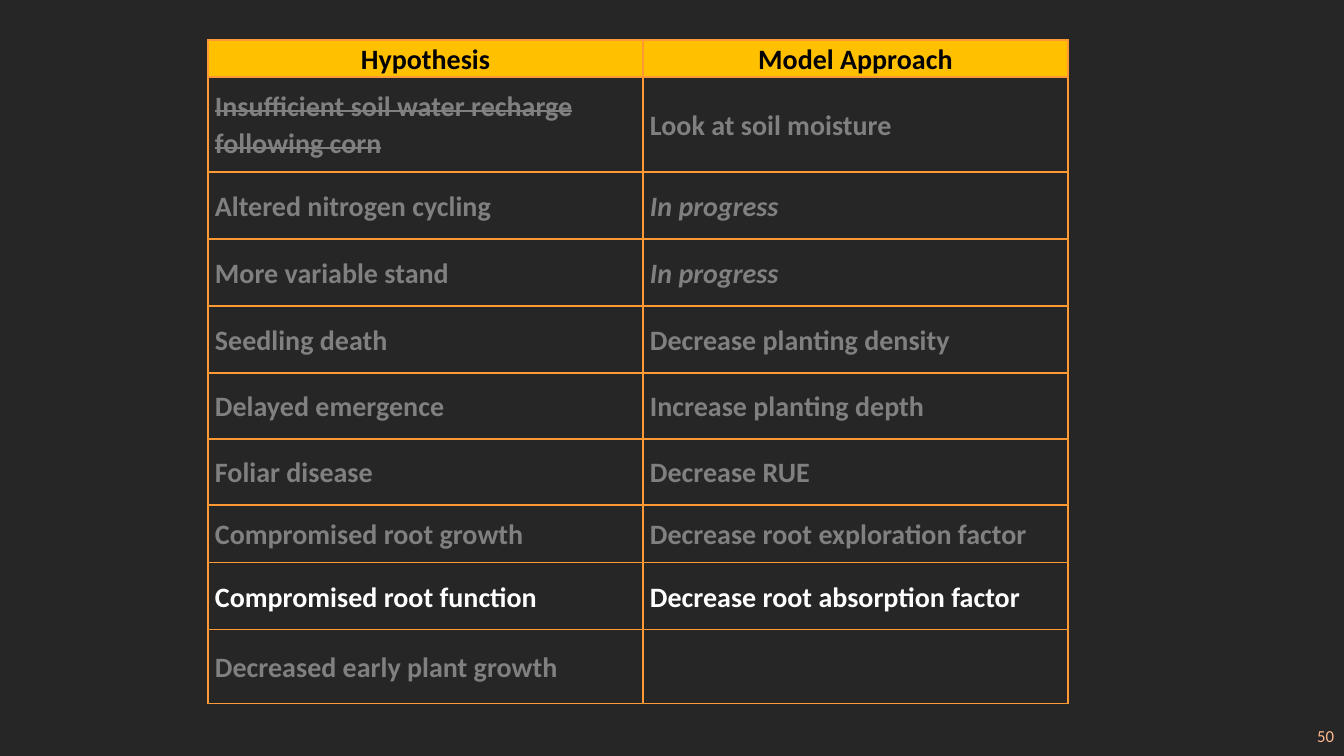
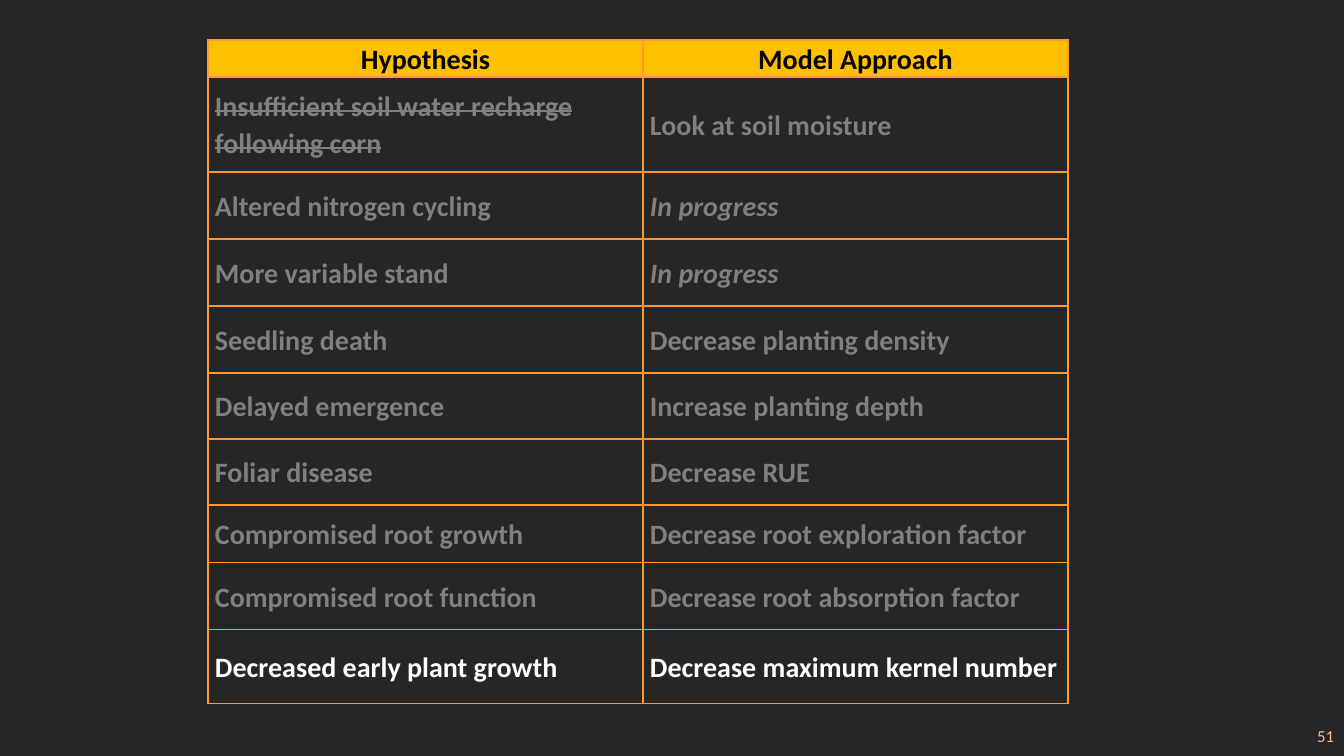
from lxml import etree
from pptx import Presentation
from pptx.dml.color import RGBColor
from pptx.enum.text import MSO_ANCHOR, PP_ALIGN
from pptx.oxml.ns import qn
from pptx.util import Emu, Pt

MIDDLE = MSO_ANCHOR.MIDDLE
LEFT, CENTER, RIGHT = PP_ALIGN.LEFT, PP_ALIGN.CENTER, PP_ALIGN.RIGHT

DARK = RGBColor(0x26, 0x26, 0x26)
GOLD = RGBColor(0xFF, 0xC0, 0x00)
ORANGE = RGBColor(0xFF, 0x99, 0x33)
PEACH = RGBColor(0xFF, 0xBA, 0x90)
GREY = RGBColor(0x80, 0x80, 0x80)
BLACK = RGBColor(0, 0, 0)
WHITE = RGBColor(0xFF, 0xFF, 0xFF)
FONT = "Calibri"

# Content
HEAD = ("Hypothesis", "Model Approach")
IDEAS = [
    ("Insufficient soil water recharge following corn", "Look at soil moisture"),
    ("Altered nitrogen cycling", "In progress"),
    ("More variable stand", "In progress"),
    ("Seedling death", "Decrease planting density"),
    ("Delayed emergence", "Increase planting depth"),
    ("Foliar disease", "Decrease RUE"),
    ("Compromised root growth", "Decrease root exploration factor"),
    ("Compromised root function", "Decrease root absorption factor"),
    ("Decreased early plant growth", "Decrease maximum kernel number"),
]
REJECTED = IDEAS[0][0]
PENDING = "In progress"
# Page number and the row in focus; later approaches stay hidden
PAGES = [(50, 8), (51, 9)]

# Layout in px
WIDE, HIGH = 1344, 756
TABLE_X, TABLE_Y = 208, 40
COLS = [435, 425]
ROWS = [37, 95, 67, 67, 67, 66, 66, 58, 67, 74]
INSET = 7


def px(n):
    return Emu(round(n * 914400 / 100.8))


def style(para, size, color, align, bold=False, italic=False):
    para.alignment = align
    font = para.font
    font.name, font.size = FONT, Pt(size)
    font.bold, font.italic = bold, italic
    font.color.rgb = color


def border(cell):
    props = cell._tc.get_or_add_tcPr()
    for i, side in enumerate(("lnL", "lnR", "lnT", "lnB")):
        line = etree.Element(qn("a:" + side), w=str(Pt(1)))
        fill = etree.SubElement(line, qn("a:solidFill"))
        etree.SubElement(fill, qn("a:srgbClr"), val=str(ORANGE))
        props.insert(i, line)


def fill_cell(cell, text, color, head):
    cell.vertical_anchor = MIDDLE
    cell.margin_left = cell.margin_right = px(INSET)
    cell.margin_top = cell.margin_bottom = 0
    if head:
        cell.fill.solid()
        cell.fill.fore_color.rgb = GOLD
    else:
        cell.fill.background()
    border(cell)
    para = cell.text_frame.paragraphs[0]
    para.line_spacing, para.space_after = 1.07, Pt(8)
    style(para, 20, color, CENTER if head else LEFT, True, text == PENDING)
    if text:
        run = para.add_run()
        run.text = text
        if text == REJECTED:
            run._r.get_or_add_rPr().set("strike", "sngStrike")


def add_grid(slide, focus):
    frame = slide.shapes.add_table(
        len(ROWS), len(COLS), px(TABLE_X), px(TABLE_Y),
        px(sum(COLS)), px(sum(ROWS)))
    table = frame.table
    table.first_row = table.horz_banding = False
    for col, width in zip(table.columns, COLS):
        col.width = px(width)
    for row, height in zip(table.rows, ROWS):
        row.height = px(height)
    for r, (idea, model) in enumerate([HEAD] + IDEAS):
        color = BLACK if r == 0 else WHITE if r == focus else GREY
        texts = (idea, model if r <= focus else "")
        for c, text in enumerate(texts):
            fill_cell(table.cell(r, c), text, color, r == 0)


def add_page(slide, number):
    box = slide.shapes.add_textbox(px(1042), px(716), px(302), px(40))
    frame = box.text_frame
    frame.word_wrap = True
    frame.vertical_anchor = MIDDLE
    para = frame.paragraphs[0]
    para.text = str(number)
    style(para, 12, PEACH, RIGHT)


def main():
    deck = Presentation()
    deck.slide_width, deck.slide_height = px(WIDE), px(HIGH)
    # Shared background
    back = deck.slide_master.background.fill
    back.solid()
    back.fore_color.rgb = DARK
    for number, focus in PAGES:
        slide = deck.slides.add_slide(deck.slide_layouts[6])
        add_grid(slide, focus)
        add_page(slide, number)
    deck.save("out.pptx")


if __name__ == "__main__":
    main()
